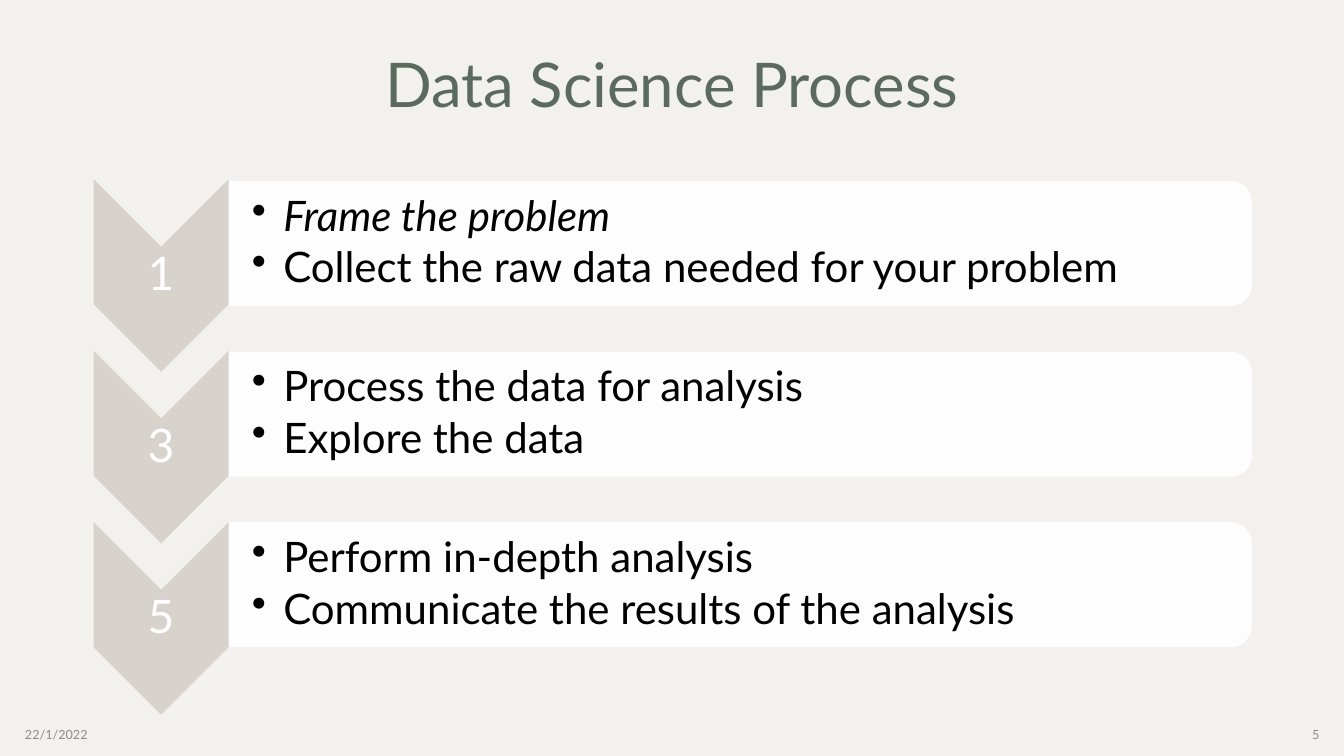
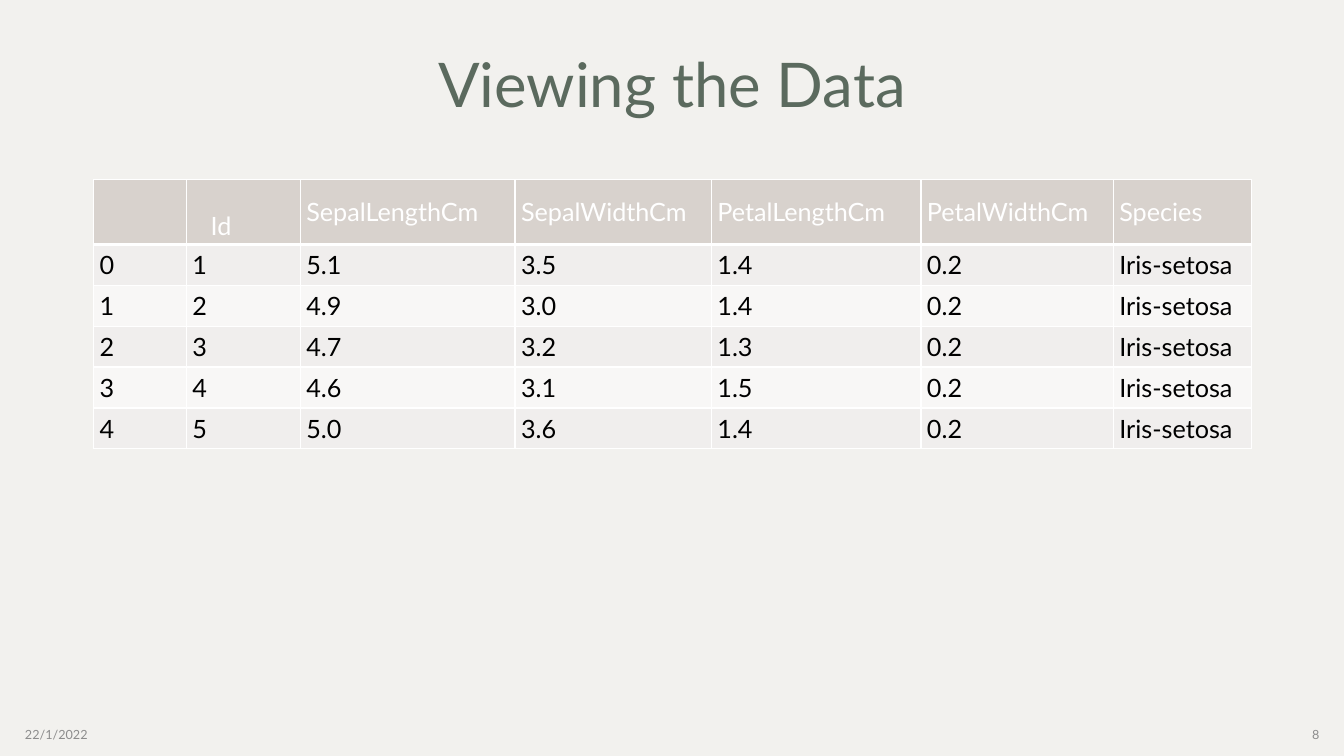
"""Build two slides on the data science process and its first look at data."""
import lxml.etree
import pptx
import pptx.dml.color
import pptx.enum.shapes
import pptx.enum.text
import pptx.oxml.ns
import pptx.util

Cm, Pt = pptx.util.Cm, pptx.util.Pt
Align = pptx.enum.text.PP_ALIGN
Anchor = pptx.enum.text.MSO_ANCHOR
Kind = pptx.enum.shapes.MSO_SHAPE
qn = pptx.oxml.ns.qn

HUES = {
    "back": "F2F1EE", "title": "5B6A5E", "foot": "8C8C8C", "sand": "D8D2CD",
    "white": "FFFFFF", "black": "000000", "odd": "F0EEED", "even": "F8F7F6",
}
FACE = "Lato"
DATE = "22/1/2022"

STEPS = [
    ("1", [("Frame the problem", True),
           ("Collect the raw data needed for your problem", False)]),
    ("3", [("Process the data for analysis", False), ("Explore the data", False)]),
    ("5", [("Perform in-depth analysis", False),
           ("Communicate the results of the analysis", False)]),
]
HEAD = ["", "Id", "SepalLengthCm", "SepalWidthCm",
        "PetalLengthCm", "PetalWidthCm", "Species"]
ROWS = [
    ["0", "1", "5.1", "3.5", "1.4", "0.2", "Iris-setosa"],
    ["1", "2", "4.9", "3.0", "1.4", "0.2", "Iris-setosa"],
    ["2", "3", "4.7", "3.2", "1.3", "0.2", "Iris-setosa"],
    ["3", "4", "4.6", "3.1", "1.5", "0.2", "Iris-setosa"],
    ["4", "5", "5.0", "3.6", "1.4", "0.2", "Iris-setosa"],
]
COLS = [2.34, 2.87, 5.41, 4.95, 5.28, 4.85, 3.48]
HIGH = [1.64] + [1.03] * len(ROWS)

LEFT, TOP = 2.36, 4.52
ARROW = {"wide": 3.4, "high": 4.85, "step": 4.32}
PANEL = {"left": 5.77, "top": 4.56, "wide": 25.78, "high": 3.15, "step": 4.3}

TIGHT = {"margin_left": Cm(0.05), "margin_right": Cm(0.05),
         "margin_top": Cm(0.05), "margin_bottom": Cm(0.05)}
INSET = {"margin_left": Cm(0.15), "margin_right": Cm(0.15),
         "margin_top": Cm(0.08), "margin_bottom": Cm(0.08),
         "vertical_anchor": Anchor.MIDDLE}
LOW = {"margin_left": Cm(0.61), "vertical_anchor": Anchor.BOTTOM}


def apply(item, look):
    for name, value in look.items():
        setattr(item, name, value)


def tint(hue):
    return pptx.dml.color.RGBColor.from_string(HUES[hue])


def paint(item, hue):
    item.fill.solid()
    item.fill.fore_color.rgb = tint(hue)


def write(para, text, size, hue, italic=False, **look):
    apply(para, look)
    run = para.add_run()
    run.text = text
    apply(run.font, {"name": FACE, "size": Pt(size), "italic": italic})
    run.font.color.rgb = tint(hue)


def frame(slide, box, **look):
    text = slide.shapes.add_textbox(*map(Cm, box)).text_frame
    apply(text, {"word_wrap": True, "vertical_anchor": Anchor.MIDDLE, **look})
    return text


def start(deck, title, page):
    slide = deck.slides.add_slide(deck.slide_layouts[6])
    for box, text, size, hue, look in [
        ((LEFT, 0.33, 29.16, 3.76), title, 44, "title",
         {"alignment": Align.CENTER, "line_spacing": 0.9}),
        ((0.38, 18.01, 7.62, 1.02), DATE, 9, "foot", {}),
        ((25.88, 18.01, 7.62, 1.02), page, 9, "foot",
         {"alignment": Align.RIGHT}),
    ]:
        write(frame(slide, box).paragraphs[0], text, size, hue, **look)
    return slide


def turn(slide, kind, box, hue):
    left, top, wide, high = box
    shift = (wide - high) / 2
    place = left + shift, top - shift, high, wide
    shape = slide.shapes.add_shape(kind, *map(Cm, place))
    shape.rotation = 90
    shape.shadow.inherit = False
    shape.line.fill.background()
    paint(shape, hue)
    return shape


def fade(shape, share):
    tone = shape.fill._xPr.find(qn("a:solidFill"))[0]
    lxml.etree.SubElement(tone, qn("a:alpha"), val=str(share * 1000))


def dot(para):
    props = para._p.get_or_add_pPr()
    props.set("marL", str(Cm(0.79)))
    props.set("indent", str(-Cm(0.79)))
    lxml.etree.SubElement(props, qn("a:buChar"), char="•")


def edge(cell, sides):
    props = cell._tc.get_or_add_tcPr()
    for spot, (side, width) in enumerate(sides.items()):
        line = lxml.etree.Element(qn("a:ln" + side), w=str(Pt(width)))
        fill = lxml.etree.SubElement(line, qn("a:solidFill"))
        lxml.etree.SubElement(fill, qn("a:srgbClr"), val=HUES["white"])
        props.insert(spot, line)


def steps(slide):
    for place, (mark, lines) in enumerate(STEPS):
        top = TOP + place * ARROW["step"]
        turn(slide, Kind.CHEVRON, (LEFT, top, ARROW["wide"], ARROW["high"]), "sand")
        box = LEFT, top + ARROW["wide"] / 2, ARROW["wide"], 1.45
        write(frame(slide, box, **TIGHT).paragraphs[0], mark, 33, "white",
              alignment=Align.CENTER, line_spacing=0.9)

        left, wide = PANEL["left"], PANEL["wide"]
        top = PANEL["top"] + place * PANEL["step"]
        panel = turn(slide, Kind.ROUND_2_SAME_RECTANGLE,
                     (left, top, wide, PANEL["high"]), "white")
        fade(panel, 90)
        box = left, top + 0.15, wide - 0.18, PANEL["high"] - 0.3
        text = frame(slide, box, **{**TIGHT, "margin_left": Cm(0.58)})
        for spot, (line, italic) in enumerate(lines):
            para = text.add_paragraph() if spot else text.paragraphs[0]
            write(para, line, 30, "black", italic,
                  line_spacing=0.9, space_after=Pt(4.5))
            dot(para)


def grid(slide):
    data = [HEAD] + ROWS
    place = LEFT, TOP, sum(COLS), sum(HIGH)
    table = slide.shapes.add_table(len(data), len(COLS), *map(Cm, place)).table
    apply(table, {"first_row": False, "horz_banding": False})
    for col, wide in zip(table.columns, COLS):
        col.width = Cm(wide)
    for row, high in zip(table.rows, HIGH):
        row.height = Cm(high)
    for down, line in enumerate(data):
        fill = "sand" if down == 0 else "odd" if down % 2 else "even"
        for over, text in enumerate(line):
            cell = table.cell(down, over)
            apply(cell, {**INSET, **(LOW if text == "Id" else {})})
            paint(cell, fill)
            edge(cell, {"L": 1, "R": 1, "T": 3 if down == 1 else 1,
                        "B": 1 if down else 3})
            if text:
                write(cell.text_frame.paragraphs[0], text, 18,
                      "black" if down else "white")


def main():
    deck = pptx.Presentation()
    apply(deck, {"slide_width": Cm(33.87), "slide_height": Cm(19.05)})
    paint(deck.slide_master.background, "back")
    steps(start(deck, "Data Science Process", "5"))
    grid(start(deck, "Viewing the Data", "8"))
    deck.save("out.pptx")


if __name__ == "__main__":
    main()
